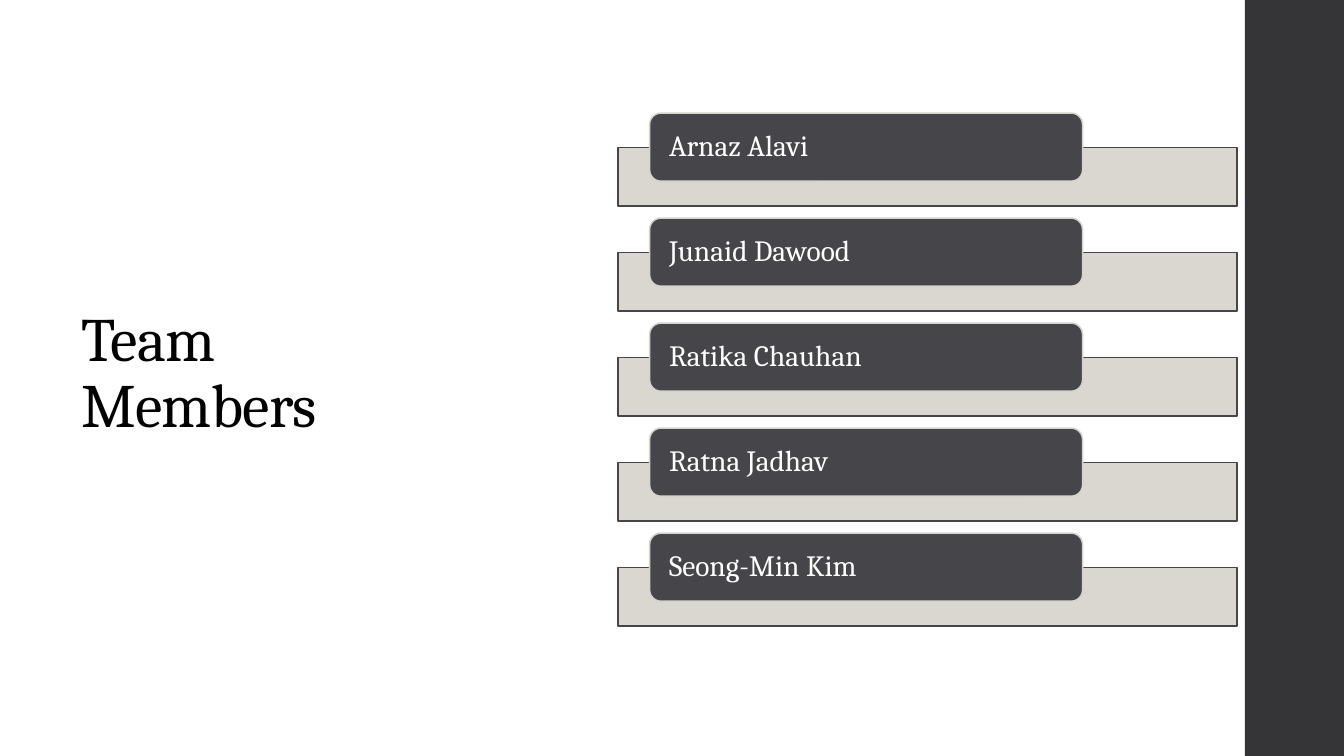
from dataclasses import dataclass

from lxml.etree import SubElement
from pptx import Presentation
from pptx.dml.color import RGBColor as Color
from pptx.enum.shapes import MSO_SHAPE as Preset
from pptx.enum.text import MSO_ANCHOR as Anchor, MSO_AUTO_SIZE as AutoSize, PP_ALIGN as Align
from pptx.oxml.ns import qn
from pptx.util import Pt


@dataclass(frozen=True)
class Theme:
    font: str = "Cambria"
    title_size: float = 44
    name_size: float = 21
    title_color: str = "000000"
    name_color: str = "FFFFFF"
    background: str = "FFFFFF"
    sidebar: str = "353537"
    dark: str = "46464A"
    light: str = "D6D3CC"
    outline: float = 1.1
    line_spacing: float = 0.9


class SlideBuilder:
    def __init__(self, slide, theme):
        self.slide = slide
        self.theme = theme
        slide.background.fill.solid()
        slide.background.fill.fore_color.rgb = Color.from_string(theme.background)

    def shape(self, preset, box, fill, line=None, opacity=None):
        shape = self.slide.shapes.add_shape(preset, *map(Pt, box))
        shape.shadow.inherit = False
        shape.fill.solid()
        shape.fill.fore_color.rgb = Color.from_string(fill)
        if opacity is not None:
            rgb = shape._element.spPr.find(qn("a:solidFill"))[0]
            SubElement(rgb, qn("a:alpha")).set("val", str(opacity * 1000))
        if line:
            shape.line.color.rgb = Color.from_string(line)
            shape.line.width = Pt(self.theme.outline)
        else:
            shape.line.fill.background()
        return shape

    def label(self, shape, text, size, color):
        frame = shape.text_frame
        frame.word_wrap = True
        frame.auto_size = AutoSize.NONE
        frame.vertical_anchor = Anchor.MIDDLE
        frame.text = text
        paragraph = frame.paragraphs[0]
        paragraph.alignment = Align.LEFT
        paragraph.line_spacing = self.theme.line_spacing
        paragraph.font.name = self.theme.font
        paragraph.font.size = Pt(size)
        paragraph.font.color.rgb = Color.from_string(color)
        return frame

    def title(self, text, box):
        heading = self.slide.shapes.title
        heading.left, heading.top, heading.width, heading.height = map(Pt, box)
        frame = self.label(heading, text, self.theme.title_size, self.theme.title_color)
        frame.paragraphs[0].runs[0]._r.get_or_add_rPr().set("spc", "-50")

    def sidebar(self, box):
        self.shape(Preset.RECTANGLE, box, self.theme.sidebar)

    def member(self, name, top):
        theme = self.theme
        self.shape(Preset.RECTANGLE, (441.5, top + 24.7, 442, 41.6),
                   theme.light, theme.dark, opacity=90)
        tab = self.shape(Preset.ROUNDED_RECTANGLE, (464, top, 309.3, 48.7),
                         theme.dark, theme.light)
        frame = self.label(tab, name, theme.name_size, theme.name_color)
        frame.margin_left = frame.margin_right = Pt(11.5)
        frame.margin_top = frame.margin_bottom = 0


def main():
    deck = Presentation()
    deck.slide_width, deck.slide_height = Pt(960), Pt(540)
    title_only = deck.slide_layouts[5]
    builder = SlideBuilder(deck.slides.add_slide(title_only), Theme())

    builder.sidebar((889.2, 0, 70.8, 540))
    builder.title("Team Members", (51, 83.5, 276, 368))

    members = ["Arnaz Alavi", "Junaid Dawood", "Ratika Chauhan", "Ratna Jadhav", "Seong-Min Kim"]
    first_top, pitch = 80.8, 75
    for row, name in enumerate(members):
        builder.member(name, first_top + row * pitch)

    deck.save("out.pptx")


if __name__ == "__main__":
    main()
